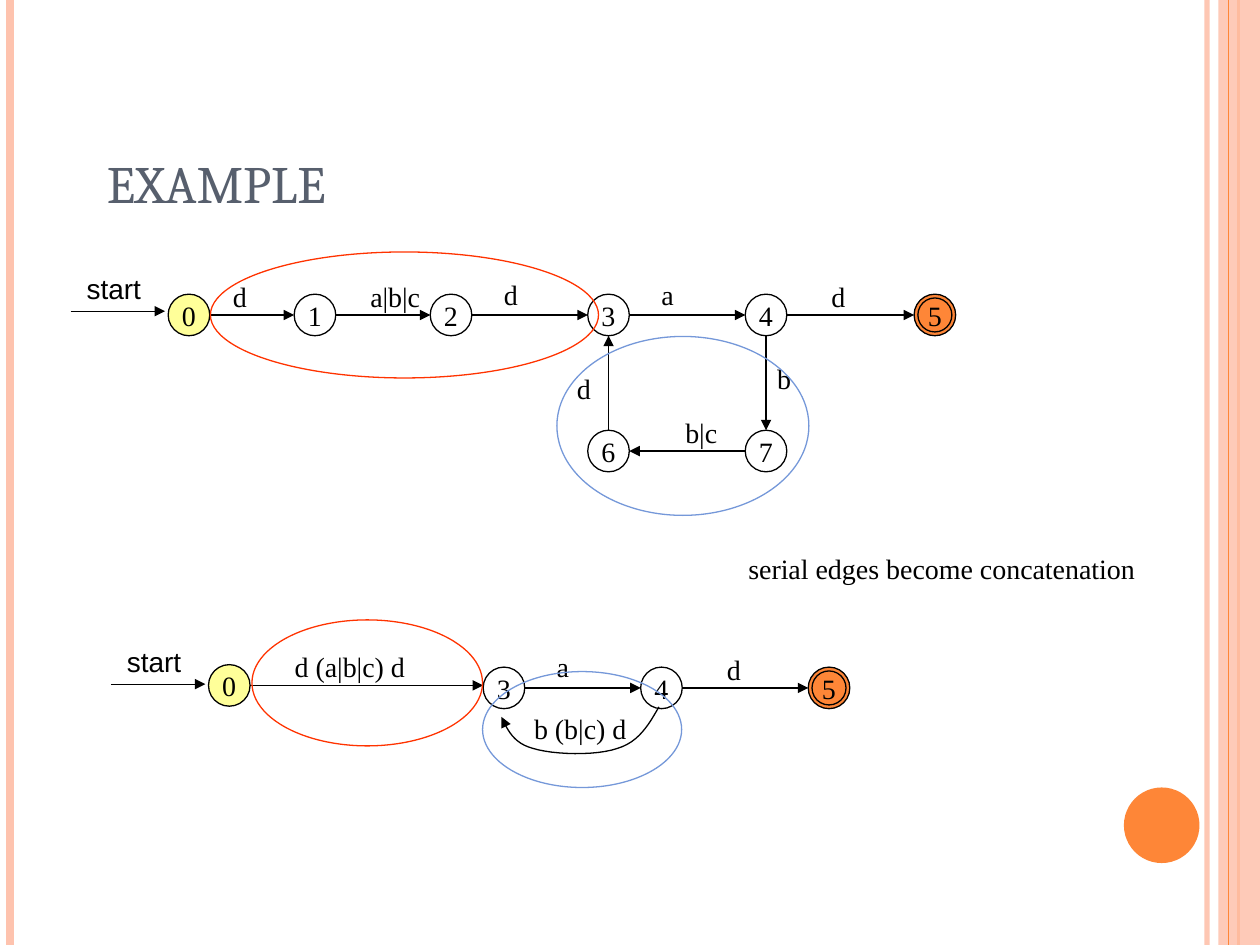
from dataclasses import dataclass

from lxml.etree import SubElement
from pptx import Presentation
from pptx.dml.color import RGBColor
from pptx.enum.shapes import MSO_CONNECTOR as Connector, MSO_SHAPE as Shape
from pptx.enum.text import MSO_ANCHOR as Anchor, MSO_AUTO_SIZE as AutoSize, PP_ALIGN as Align
from pptx.oxml.ns import qn
from pptx.util import Inches, Pt


@dataclass(frozen=True)
class Theme:
    ink: str = "000000"
    title: str = "575F6D"
    peach: str = "FEC3AE"
    orange: str = "FE8637"
    initial: str = "FFFF99"
    red: str = "FF3300"
    blue: str = "7598D9"
    title_font: str = "Cambria"
    label_font: str = "Times New Roman"
    start_font: str = "Arial"
    title_size: int = 30
    label_size: int = 16
    thin: float = 0.75


THEME = Theme()
DIAMETER = 0.33
RING = 0.27
LABEL_HEIGHT = 0.37
FULL_CHAIN = {"0": (1.5, 2.5), "1": (2.5, 2.5), "2": (3.58, 2.5), "3": (4.83, 2.5),
              "4": (6.08, 2.5), "5": (7.42, 2.5), "6": (4.83, 3.58), "7": (6.08, 3.58)}
REDUCED_CHAIN = {"0": (1.82, 5.44), "3": (4, 5.46), "4": (5.25, 5.46), "5": (6.58, 5.46)}
FULL_EDGES = ["01", "12", "23", "34", "45", "47", "76", "63"]
REDUCED_EDGES = ["03", "34", "45"]
LABELS = [
    ("d", 1.75, 2.17, 0.31), ("a|b|c", 2.84, 2.17, 0.62), ("d", 3.9, 2.15, 0.31),
    ("a", 5.15, 2.15, 0.3), ("d", 6.5, 2.17, 0.31), ("d", 4.48, 2.9, 0.31),
    ("b", 6.07, 2.82, 0.31), ("b|c", 5.34, 3.25, 0.48),
    ("d (a|b|c) d", 2.24, 5.11, 1.1), ("a", 4.32, 5.11, 0.3),
    ("d", 5.67, 5.13, 0.31), ("b (b|c) d", 4.14, 5.6, 0.96),
    ("serial edges become concatenation", 5.84, 4.33, 3.29),
]
HIGHLIGHTS = [
    (1.67, 2, 3.08, 1, THEME.red), (4.42, 2.67, 2, 1.42, THEME.blue),
    (2, 4.92, 1.83, 1, THEME.red), (3.83, 5.33, 1.58, 0.92, THEME.blue),
]
LOOP_START = (5.23, 5.61)
LOOP_CURVES = [
    ((5.15, 5.75), (5.07, 5.89), (4.9, 5.94)),
    ((4.73, 6), (4.39, 5.99), (4.23, 5.94)),
    ((4.08, 5.9), (4.03, 5.8), (3.98, 5.69)),
]


def rgb(color):
    return RGBColor.from_string(color)


def set_opacity(element, percent):
    color = next(element.iter(qn("a:srgbClr")))
    SubElement(color, qn("a:alpha"), val=str(percent * 1000))


def add_arrowhead(stroked):
    SubElement(stroked.line._get_or_add_ln(), qn("a:tailEnd"), type="triangle")


def add_line(shapes, start, end, color=THEME.ink, width=THEME.thin, arrow=False):
    line = shapes.add_connector(Connector.STRAIGHT, *map(Inches, start + end))
    line.line.color.rgb = rgb(color)
    line.line.width = Pt(width)
    if arrow:
        add_arrowhead(line)
    SubElement(line._element.spPr, qn("a:effectLst"))
    return line


def add_solid(shapes, kind, left, top, width, height, fill=None, outline=None):
    solid = shapes.add_shape(kind, *map(Inches, (left, top, width, height)))
    solid.shadow.inherit = False
    if fill:
        solid.fill.solid()
        solid.fill.fore_color.rgb = rgb(fill)
    else:
        solid.fill.background()
    if outline:
        solid.line.color.rgb = rgb(outline)
        solid.line.width = Pt(THEME.thin)
    else:
        solid.line.fill.background()
    return solid


def add_circle(shapes, center, diameter, fill=None):
    x, y = center
    return add_solid(shapes, Shape.OVAL, x - diameter / 2, y - diameter / 2,
                     diameter, diameter, fill, THEME.ink)


def write(frame, text, font=THEME.label_font, size=THEME.label_size, color=THEME.ink):
    paragraph = frame.paragraphs[0]
    paragraph.text = text
    paragraph.font.name = font
    paragraph.font.size = Pt(size)
    paragraph.font.color.rgb = rgb(color)
    return paragraph


def add_label(shapes, text, left, top, width, font=THEME.label_font):
    label = shapes.add_textbox(*map(Inches, (left, top, width, LABEL_HEIGHT)))
    label.text_frame.word_wrap = False
    label.text_frame.auto_size = AutoSize.SHAPE_TO_FIT_TEXT
    write(label.text_frame, text, font)


def add_title(shapes, text):
    title = shapes.add_textbox(*map(Inches, (0.75, 0.5, 8.5, 1.25)))
    title.text_frame.word_wrap = True
    title.text_frame.vertical_anchor = Anchor.BOTTOM
    write(title.text_frame, text, THEME.title_font, THEME.title_size, THEME.title)


def add_state(shapes, name, center):
    fill = {"0": THEME.initial, "5": THEME.orange}.get(name)
    state = add_circle(shapes, center, DIAMETER, fill)
    state.text_frame.word_wrap = False
    state.text_frame.vertical_anchor = Anchor.MIDDLE
    write(state.text_frame, name).alignment = Align.CENTER
    if name == "5":
        add_circle(shapes, center, RING)


def add_edge(shapes, source, target):
    (x1, y1), (x2, y2) = source, target
    radius = DIAMETER / 2
    if x1 == x2:
        step = radius if y2 > y1 else -radius
        add_line(shapes, (x1, y1 + step), (x2, y2 - step), arrow=True)
    else:
        step = radius if x2 > x1 else -radius
        add_line(shapes, (x1 + step, y1), (x2 - step, y1), arrow=True)


def add_automaton(shapes, states, edges):
    for name, center in states.items():
        add_state(shapes, name, center)
    for source, target in edges:
        add_edge(shapes, states[source], states[target])


def add_start(shapes, left, y):
    start = shapes.add_group_shape().shapes
    add_line(start, (left, y), (left + 0.75, y), arrow=True)
    add_label(start, "start", left + 0.03, y - 0.36, 0.63, THEME.start_font)


def bezier(points, t):
    weights = ((1 - t) ** 3, 3 * t * (1 - t) ** 2, 3 * t * t * (1 - t), t ** 3)
    return tuple(sum(w * p[axis] for w, p in zip(weights, points)) for axis in (0, 1))


def add_loop(shapes, start, curves, steps=12):
    points, origin = [], start
    for curve in curves:
        points += [bezier((origin, *curve), i / steps) for i in range(1, steps + 1)]
        origin = curve[-1]
    builder = shapes.build_freeform(*map(Inches, start))
    builder.add_line_segments([tuple(map(Inches, point)) for point in points], close=False)
    loop = builder.convert_to_shape()
    loop.shadow.inherit = False
    loop.fill.background()
    loop.line.color.rgb = rgb(THEME.ink)
    loop.line.width = Pt(THEME.thin)
    add_arrowhead(loop)


def add_decoration(shapes):
    inner = add_line(shapes, (9.58, 0), (9.58, 7.5), THEME.peach, 3)
    set_opacity(inner._element, 93)
    add_line(shapes, (0.08, 0), (0.08, 7.5), THEME.peach, 4.5)
    add_line(shapes, (9.83, 0), (9.83, 7.5), THEME.orange, 1.5)
    band = add_solid(shapes, Shape.RECTANGLE, 9.67, 0, 0.33, 7.5, THEME.peach)
    set_opacity(band._element, 87)
    add_line(shapes, (9.75, 0), (9.75, 7.5), THEME.orange)
    add_solid(shapes, Shape.OVAL, 8.92, 6.25, 0.6, 0.6, THEME.orange)


def main():
    deck = Presentation()
    deck.slide_width, deck.slide_height = Inches(10), Inches(7.5)
    shapes = deck.slides.add_slide(deck.slide_layouts[6]).shapes
    add_decoration(shapes)
    add_title(shapes, "EXAMPLE")
    add_automaton(shapes, REDUCED_CHAIN, REDUCED_EDGES)
    add_loop(shapes, LOOP_START, LOOP_CURVES)
    add_automaton(shapes, FULL_CHAIN, FULL_EDGES)
    for label in LABELS:
        add_label(shapes, *label)
    for *bounds, color in HIGHLIGHTS:
        add_solid(shapes, Shape.OVAL, *bounds, outline=color)
    add_start(shapes, 0.56, 2.47)
    add_start(shapes, 0.88, 5.43)
    deck.save("out.pptx")


if __name__ == "__main__":
    main()
